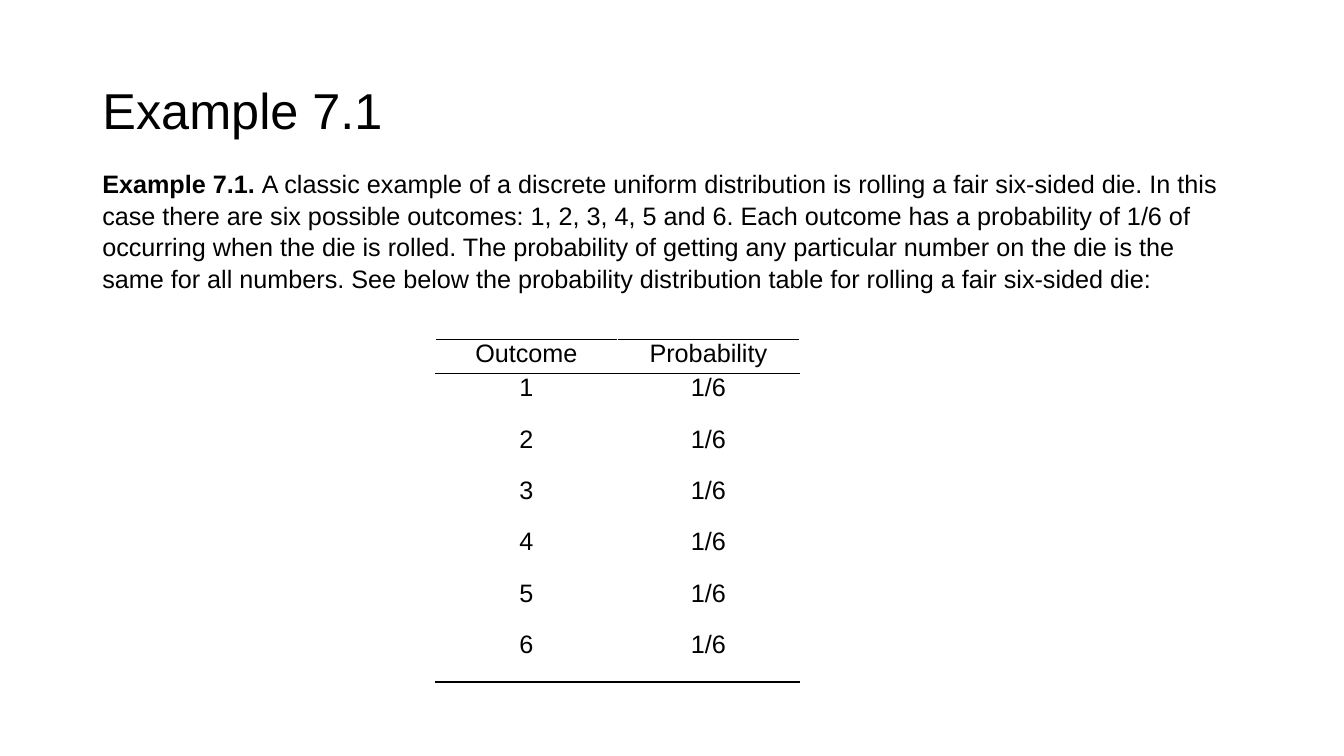
from lxml import etree
from pptx import Presentation
from pptx import util as u
from pptx.dml.color import RGBColor
from pptx.enum import text
from pptx.oxml import ns

BLACK, WHITE = "000000", "FFFFFF"


def colour(hex_value):
    return RGBColor.from_string(hex_value)


class ExampleSlide:
    """Holds the text style and the slide, and adds each kind of element."""

    def __init__(self, deck, font="Arial", size=18):
        self.font, self.size = font, size
        self.slide = deck.slides.add_slide(deck.slide_layouts[5])

    def style(self, paragraph, size=None, align=text.PP_ALIGN.LEFT, after=0, spacing=1.0):
        paragraph.alignment = align
        paragraph.space_after = u.Pt(after)
        paragraph.line_spacing = spacing
        paragraph.font.name = self.font
        paragraph.font.size = u.Pt(size or self.size)
        paragraph.font.color.rgb = colour(BLACK)

    def title(self, wording, left, top, width, height):
        heading = self.slide.shapes.title
        heading.left, heading.top = u.Pt(left), u.Pt(top)
        heading.width, heading.height = u.Pt(width), u.Pt(height)
        frame = heading.text_frame
        frame.text = wording
        frame.auto_size = text.MSO_AUTO_SIZE.NONE
        frame.vertical_anchor = text.MSO_ANCHOR.MIDDLE
        self.style(frame.paragraphs[0], size=36, spacing=0.9)

    def passage(self, lead, wording, left, top, width, height):
        box = self.slide.shapes.add_textbox(u.Pt(left), u.Pt(top), u.Pt(width), u.Pt(height))
        box.text_frame.word_wrap = True
        paragraph = box.text_frame.paragraphs[0]
        self.style(paragraph, after=6, spacing=1.04)
        lead_run = paragraph.add_run()
        lead_run.text = lead
        lead_run.font.bold = True
        paragraph.add_run().text = wording

    def rule(self, cell, side):
        properties = cell._tc.get_or_add_tcPr()
        line = etree.Element(ns.qn(f"a:{side}"), w=str(u.Pt(1)))
        fill = etree.SubElement(line, ns.qn("a:solidFill"))
        etree.SubElement(fill, ns.qn("a:srgbClr"), val=BLACK)
        properties.insert(len(properties) - 1, line)

    def table(self, rows, left, top, column_width, header_height, row_height):
        columns = len(rows[0])
        height = header_height + row_height * (len(rows) - 1)
        distribution = self.slide.shapes.add_table(
            len(rows), columns, u.Pt(left), u.Pt(top),
            u.Pt(column_width * columns), u.Pt(height)).table
        distribution.first_row = distribution.horz_banding = False
        for r, values in enumerate(rows):
            distribution.rows[r].height = u.Pt(row_height if r else header_height)
            for c, value in enumerate(values):
                cell = distribution.cell(r, c)
                cell.text = value
                cell.margin_left = cell.margin_right = u.Pt(5)
                cell.margin_top = cell.margin_bottom = 0
                cell.fill.solid()
                cell.fill.fore_color.rgb = colour(WHITE)
                self.style(cell.text_frame.paragraphs[0], align=text.PP_ALIGN.CENTER, after=8)
                if r in (0, 1):
                    self.rule(cell, "lnT")
                if r in (0, len(rows) - 1):
                    self.rule(cell, "lnB")


def main():
    deck = Presentation()
    deck.slide_width, deck.slide_height = u.Pt(960), u.Pt(540)
    example = ExampleSlide(deck)
    example.title("Example 7.1", 66, 28.75, 828, 104.4)
    example.passage(
        "Example 7.1. ",
        "A classic example of a discrete uniform distribution is rolling a fair six-sided die. "
        "In this case there are six possible outcomes: 1, 2, 3, 4, 5 and 6. Each outcome has a "
        "probability of 1/6 of occurring when the die is rolled. The probability of getting any "
        "particular number on the die is the same for all numbers. See below the probability "
        "distribution table for rolling a fair six-sided die:",
        66, 116, 828, 111.6)
    outcomes = [(str(face), "1/6") for face in range(1, 7)]
    example.table([("Outcome", "Probability")] + outcomes, 311, 242.5, 130, 24.5, 36.7)
    deck.save("out.pptx")


if __name__ == "__main__":
    main()
